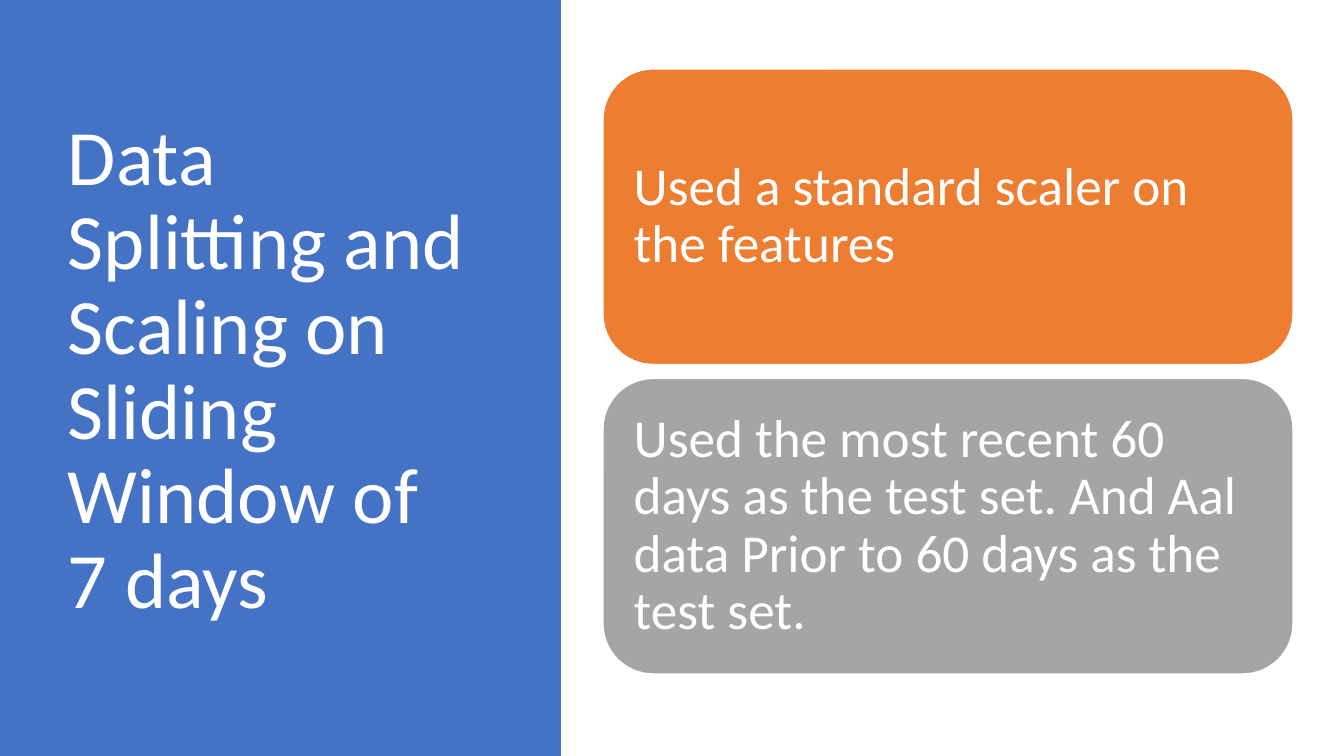
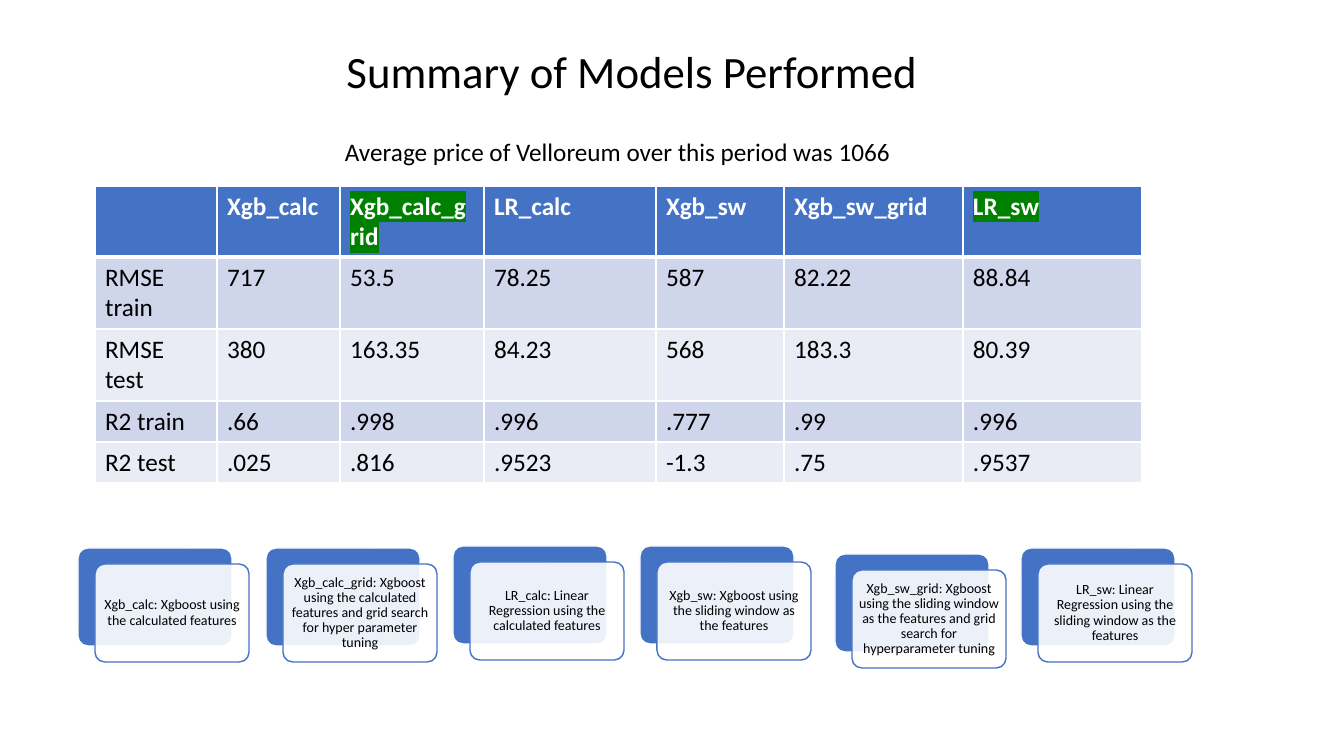
from lxml import etree
from pptx import Presentation
from pptx import util as u
from pptx.dml.color import RGBColor
from pptx.enum import shapes, text
from pptx.oxml import ns

PIXEL = 12192000 / 1344
FONT = "Calibri"
WHITE, BLACK, BLUE = "FFFFFF", "000000", "4472C4"
ORANGE, GRAY, GREEN = "ED7D31", "A5A5A5", "008000"
BANDS = ("CFD5EA", "E9EBF5")
LEFT, CENTER = text.PP_ALIGN.LEFT, text.PP_ALIGN.CENTER
TOP, MIDDLE = text.MSO_ANCHOR.TOP, text.MSO_ANCHOR.MIDDLE


def px(length):
    return u.Emu(round(length * PIXEL))


def rgb(color):
    return RGBColor.from_string(color)


def write(frame, words, size, color, align=LEFT, anchor=TOP, spacing=1.0,
          inset=None, wrap=True, bold=False):
    frame.word_wrap = wrap
    frame.vertical_anchor = anchor
    if inset is not None:
        frame.margin_left = frame.margin_right = px(inset)
        frame.margin_top = frame.margin_bottom = px(inset)
    para = frame.paragraphs[0]
    para.text = words
    para.alignment = align
    para.line_spacing = spacing
    para.font.name = FONT
    para.font.size = u.Pt(size)
    para.font.bold = bold
    para.font.color.rgb = rgb(color)


def add_text(page, box, words, size, color, **style):
    shape = page.shapes.add_textbox(*map(px, box))
    write(shape.text_frame, words, size, color, **style)


def add_panel(page, box, fill, line=None, radius=None):
    kind = shapes.MSO_SHAPE.RECTANGLE if radius is None else shapes.MSO_SHAPE.ROUNDED_RECTANGLE
    panel = page.shapes.add_shape(kind, *map(px, box))
    panel.shadow.inherit = False
    panel.fill.solid()
    panel.fill.fore_color.rgb = rgb(fill)
    if radius is not None:
        panel.adjustments[0] = radius
    if line:
        panel.line.color.rgb = rgb(line)
        panel.line.width = u.Pt(1)
    else:
        panel.line.fill.background()
    return panel


def add_color(parent, color):
    return etree.SubElement(parent, ns.qn("a:srgbClr"), val=color)


def set_transparency(panel, opacity):
    color = panel.fill._xPr.find(".//" + ns.qn("a:srgbClr"))
    etree.SubElement(color, ns.qn("a:alpha"), val=str(opacity * 1000))


def set_border(cell, side, width):
    properties = cell._tc.get_or_add_tcPr()
    line = etree.SubElement(properties, ns.qn("a:ln" + side), w=str(u.Pt(width)))
    add_color(etree.SubElement(line, ns.qn("a:solidFill")), WHITE)


def highlight(cell, color):
    span = cell.text_frame.paragraphs[0].runs[0]
    add_color(etree.SubElement(span.font._element, ns.qn("a:highlight")), color)


def add_title_band(page, box, words):
    left, top, width, height = box
    add_panel(page, box, BLUE)
    add_text(page, (left + 58, top + 68, 419, height - 149), words, 56, WHITE,
             anchor=MIDDLE, spacing=0.9)


def add_points(page, box, points, gap=14):
    left, top, width, height = box
    card_height = (height - gap * (len(points) - 1)) / len(points)
    for index, (words, fill) in enumerate(points):
        card_top = top + index * (card_height + gap)
        card = add_panel(page, (left, card_top, width, card_height), fill, WHITE, 0.17)
        write(card.text_frame, words, 38, WHITE, anchor=MIDDLE, spacing=0.9, inset=16)


def add_scores(page, box, widths, heights, rows, best):
    table = page.shapes.add_table(len(rows), len(widths), *map(px, box)).table
    table.first_row = table.horz_banding = False
    for column, width in zip(table.columns, widths):
        column.width = px(width)
    for row, values in enumerate(rows):
        header = row == 0
        table.rows[row].height = px(heights[row])
        for column, words in enumerate(values):
            cell = table.cell(row, column)
            for side in "LRTB":
                thick = (row, side) in ((0, "B"), (1, "T"))
                set_border(cell, side, 3 if thick else 1)
            cell.fill.solid()
            cell.fill.fore_color.rgb = rgb(BLUE if header else BANDS[(row - 1) % 2])
            write(cell.text_frame, words, 18, WHITE if header else BLACK, bold=header)
            if header and words in best:
                highlight(cell, GREEN)


def add_model_card(page, box, words):
    left, top, width, height = box
    add_panel(page, box, BLUE, WHITE, 0.1)
    front = add_panel(page, (left + 17, top + 16, width, height), WHITE, BLUE, 0.1)
    set_transparency(front, 90)
    write(front.text_frame, words, 10, BLACK, align=CENTER, anchor=MIDDLE,
          spacing=0.9, inset=4)


def build_method(page):
    add_title_band(page, (0, 0, 561, 756),
                   "Data Splitting and Scaling on\vSliding Window of 7 days")
    add_points(page, (603, 69, 690, 605), [
        ("Used a standard scaler on the features", ORANGE),
        ("Used the most recent 60 days as the test set. And Aal data Prior to "
         "60 days as the test set.", GRAY),
    ])


def build_summary(page):
    widths = (122, 123, 144, 172, 128, 179, 179)
    heights = (71, 72, 72, 41, 41)
    add_scores(page, (95, 186, sum(widths), sum(heights)), widths, heights, [
        ("", "Xgb_calc", "Xgb_calc_grid", "LR_calc", "Xgb_sw", "Xgb_sw_grid", "LR_sw"),
        ("RMSE train", "717", "53.5", "78.25", "587", "82.22", "88.84"),
        ("RMSE test", "380", "163.35", "84.23", "568", "183.3", "80.39"),
        ("R2 train", ".66", ".998", ".996", ".777", ".99", ".996"),
        ("R2 test", ".025", ".816", ".9523", "-1.3", ".75", ".9537"),
    ], best=("Xgb_calc_grid", "LR_sw"))
    add_text(page, (335, 131, 568, 40),
             "Average price of Velloreum over this period was 1066", 18, BLACK, wrap=False)
    add_text(page, (153, 39, 958, 65), "Summary of Models Performed", 32, BLACK, align=CENTER)
    models = [
        (78, 548, "Xgb_calc: Xgboost using the calculated features"),
        (266, 548, "Xgb_calc_grid: Xgboost using the calculated features and grid "
                   "search for hyper parameter tuning"),
        (453, 546, "LR_calc: Linear Regression using the calculated features"),
        (640, 546, "Xgb_sw: Xgboost using the sliding window as the features"),
        (835, 554, "Xgb_sw_grid: Xgboost using the sliding window as the features "
                   "and grid search for hyperparameter tuning"),
        (1021, 548, "LR_sw: Linear Regression using the sliding window as the features"),
    ]
    for left, top, words in models:
        add_model_card(page, (left, top, 154, 98), words)


deck = Presentation()
deck.slide_width, deck.slide_height = px(1344), px(756)
for build in (build_method, build_summary):
    build(deck.slides.add_slide(deck.slide_layouts[6]))
deck.save("out.pptx")
